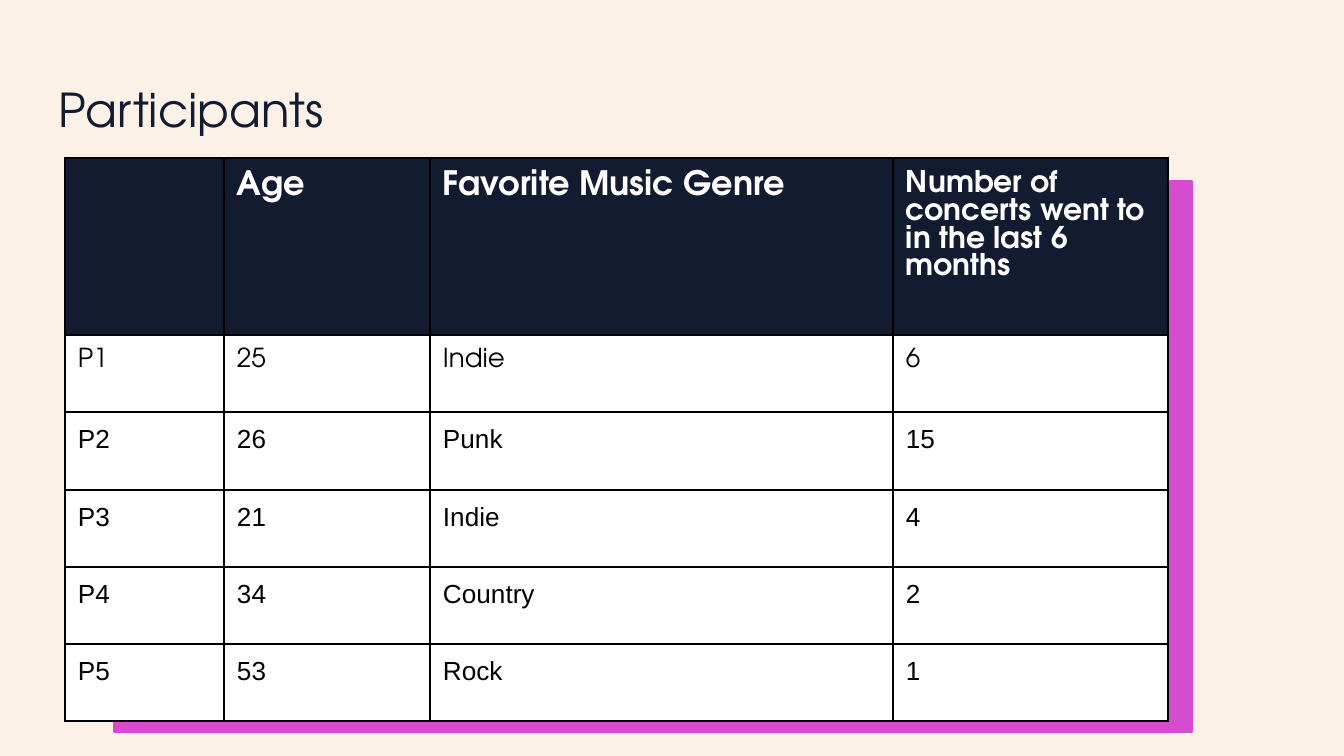
from dataclasses import dataclass

from lxml.etree import SubElement
from pptx import Presentation
from pptx.dml.color import RGBColor
from pptx.enum.shapes import MSO_SHAPE as Preset
from pptx.enum.text import MSO_ANCHOR as Anchor, MSO_AUTO_SIZE as AutoSize, PP_ALIGN as Align
from pptx.oxml.ns import qn
from pptx.util import Emu, Pt

EMU_PER_PX = 6804
INSET = 13
BORDER_PT = 0.75
COLORS = {
    "cream": "FCF1E6",
    "magenta": "D54DCE",
    "navy": "131B31",
    "white": "FFFFFF",
    "black": "000000",
}
DISPLAY = "TeX Gyre Adventor"
PLAIN = "Arial"


@dataclass(frozen=True)
class TextStyle:
    size: int
    color: str
    font: str = DISPLAY
    bold: bool = False


@dataclass(frozen=True)
class Column:
    heading: str
    width: int
    heading_size: int = 18


@dataclass(frozen=True)
class Participant:
    label: str
    age: str
    genre: str
    concerts: str
    height: int = 77
    font: str = PLAIN


COLUMNS = (
    Column("", 159),
    Column("Age", 206),
    Column("Favorite Music Genre", 463),
    Column("Number of concerts went to in the last 6 months", 275, 16),
)
PARTICIPANTS = (
    Participant("P1", "25", "Indie", "6", font=DISPLAY),
    Participant("P2", "26", "Punk", "15", height=78),
    Participant("P3", "21", "Indie", "4"),
    Participant("P4", "34", "Country", "2"),
    Participant("P5", "53", "Rock", "1"),
)
HEADER_HEIGHT = 177


def px(length: int) -> Emu:
    return Emu(length * EMU_PER_PX)


def color(name: str) -> RGBColor:
    return RGBColor.from_string(COLORS[name])


def paint(fill, name: str) -> None:
    fill.solid()
    fill.fore_color.rgb = color(name)


def set_insets(box) -> None:
    box.margin_left = box.margin_right = px(INSET)
    box.margin_top = box.margin_bottom = px(INSET)


def add_span(para, text: str, style: TextStyle) -> None:
    para.alignment = Align.LEFT
    span = para.add_run()
    span.text = text
    span.font.size = Pt(style.size)
    span.font.name = style.font
    span.font.bold = style.bold
    span.font.color.rgb = color(style.color)


def add_borders(cell) -> None:
    properties = cell._tc.get_or_add_tcPr()
    for position, side in enumerate(("lnL", "lnR", "lnT", "lnB")):
        line = SubElement(properties, qn(f"a:{side}"), w=str(Pt(BORDER_PT)))
        fill = SubElement(line, qn("a:solidFill"))
        SubElement(fill, qn("a:srgbClr"), val=COLORS["black"])
        properties.insert(position, line)


def fill_cell(cell, text: str, style: TextStyle, background: str) -> None:
    set_insets(cell)
    cell.vertical_anchor = Anchor.TOP
    paint(cell.fill, background)
    add_borders(cell)
    if text:
        add_span(cell.text_frame.paragraphs[0], text, style)


def add_backdrop(page) -> None:
    backdrop = page.shapes.add_shape(Preset.RECTANGLE, px(114), px(181), px(1078), px(551))
    backdrop.shadow.inherit = False
    paint(backdrop.fill, "magenta")
    backdrop.line.color.rgb = color("magenta")
    backdrop.line.width = Pt(BORDER_PT)


def format_title(page) -> None:
    title = page.shapes.title
    title.left, title.top, title.width, title.height = px(46), px(66), px(702), px(85)
    frame = title.text_frame
    frame.auto_size = AutoSize.NONE
    frame.word_wrap = True
    frame.vertical_anchor = Anchor.MIDDLE
    set_insets(frame)
    add_span(frame.paragraphs[0], "Participants", TextStyle(25, "navy"))


def add_participant_table(page) -> None:
    heights = [HEADER_HEIGHT, *(person.height for person in PARTICIPANTS)]
    width = sum(column.width for column in COLUMNS)
    table = page.shapes.add_table(
        len(heights), len(COLUMNS), px(65), px(158), px(width), px(sum(heights))
    ).table
    table.horz_banding = False
    for row, height in zip(table.rows, heights):
        row.height = px(height)
    for index, column in enumerate(COLUMNS):
        table.columns[index].width = px(column.width)
        style = TextStyle(column.heading_size, "white", bold=True)
        fill_cell(table.cell(0, index), column.heading, style, "navy")
    for row_index, person in enumerate(PARTICIPANTS, start=1):
        style = TextStyle(14, "black", person.font)
        values = (person.label, person.age, person.genre, person.concerts)
        for index, value in enumerate(values):
            fill_cell(table.cell(row_index, index), value, style, "white")


def main() -> None:
    deck = Presentation()
    deck.slide_width, deck.slide_height = px(1344), px(756)
    page = deck.slides.add_slide(deck.slide_layouts.get_by_name("Title Only"))
    paint(page.background.fill, "cream")
    format_title(page)
    add_backdrop(page)
    add_participant_table(page)
    deck.save("out.pptx")


if __name__ == "__main__":
    main()
